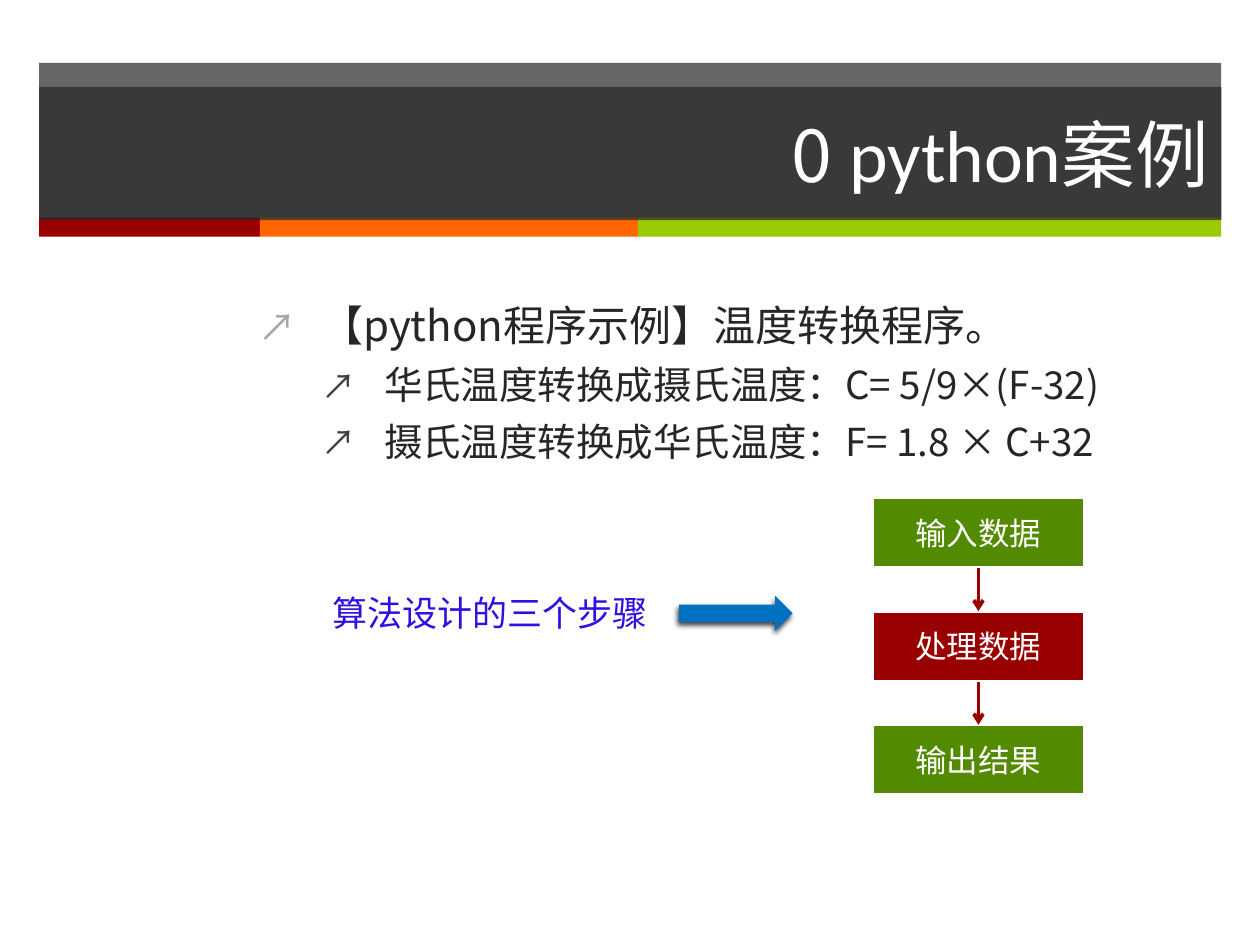
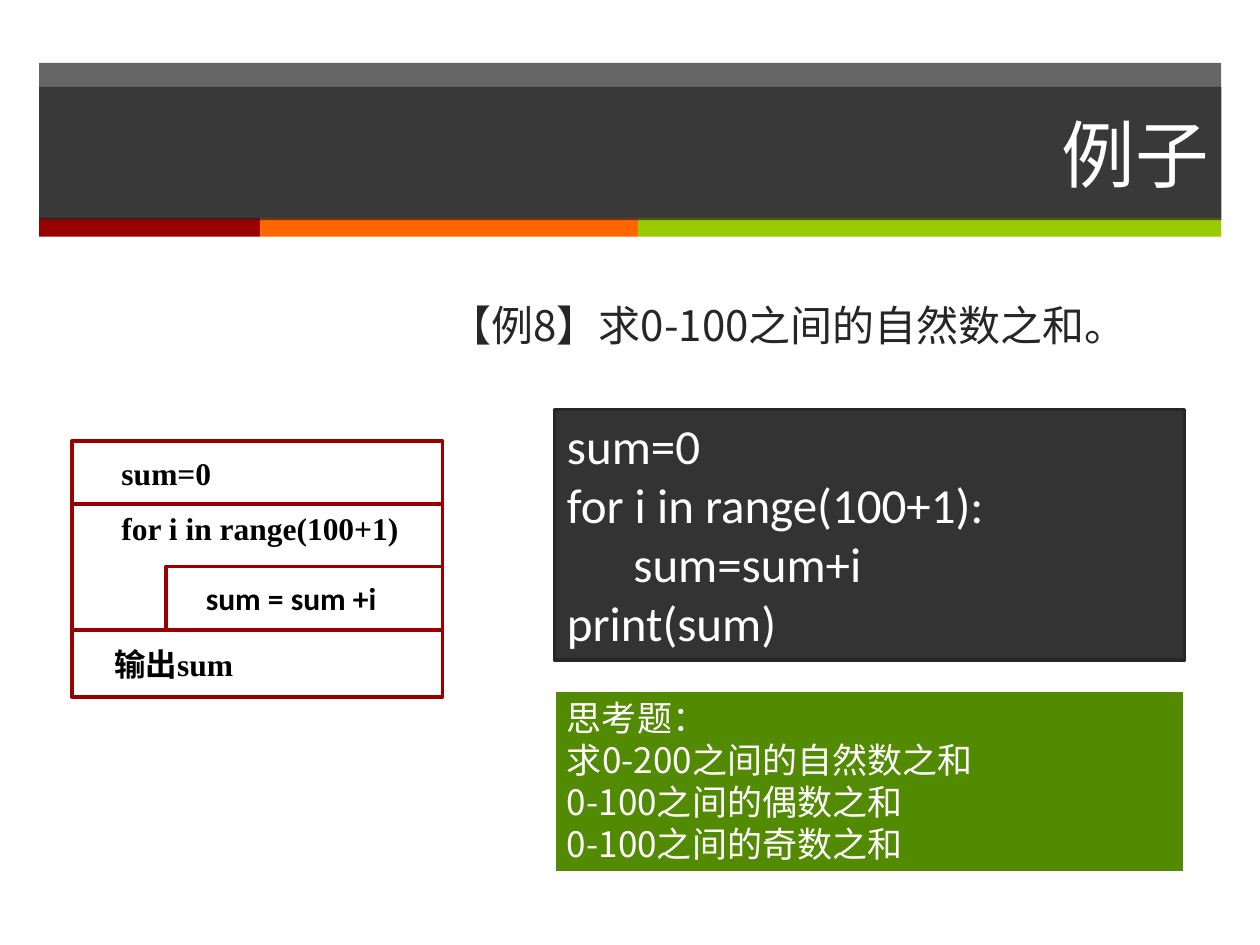
from dataclasses import dataclass
from lxml.etree import SubElement
from pptx import Presentation
from pptx.dml.color import RGBColor
from pptx.enum.shapes import MSO_CONNECTOR, MSO_SHAPE
from pptx.enum.text import MSO_ANCHOR, MSO_AUTO_SIZE, PP_ALIGN
from pptx.oxml.ns import qn
from pptx.util import Cm, Pt


@dataclass(frozen=True)
class Theme:
    white: str = "FFFFFF"
    black: str = "000000"
    dark: str = "262626"
    code_fill: str = "333333"
    red: str = "990000"
    orange: str = "FF6600"
    lime: str = "99CC00"
    green: str = "528A02"
    blue: str = "0070C0"
    violet: str = "2E10E2"
    bullets: tuple = ("A6A6A6", "404040")
    chinese: str = "Noto Sans CJK SC"
    latin: str = "Calibri"
    serif: str = "Times New Roman"
    title_size: int = 42
    body_sizes: tuple = (24, 22)
    code_size: int = 28
    note_size: int = 20
    label_size: int = 18
    band_alpha: int = 70
    line_width: int = 2


class Deck:
    def __init__(self, theme):
        self.theme = theme
        self.presentation = Presentation()
        self.presentation.slide_width = Cm(25.4)
        self.presentation.slide_height = Cm(19.05)
        self.slide = None

    def start_slide(self, title_runs):
        theme = self.theme
        self.slide = self.presentation.slides.add_slide(self.presentation.slide_layouts[1])
        band = self.box((0.79, 1.27, 23.83, 3.15), theme.dark)
        self.set_alpha(band)
        left = 0.79
        for colour, width in ((theme.red, 4.45), (theme.orange, 7.62), (theme.lime, 11.76)):
            self.box((left, 4.39, width, 0.38), colour)
            left += width
        title = self.slide.shapes.title
        self.place(title, (0.79, 1.75, 23.83, 2.69))
        title.fill.solid()
        title.fill.fore_color.rgb = RGBColor.from_string(theme.dark)
        self.set_alpha(title)
        self.set_frame(title, MSO_ANCHOR.MIDDLE)
        paragraph = title.text_frame.paragraphs[0]
        paragraph.alignment = PP_ALIGN.RIGHT
        for text, font in title_runs:
            self.add_run(paragraph, text, theme.title_size, theme.white, font)

    def place(self, placeholder, position):
        placeholder.left, placeholder.top, placeholder.width, placeholder.height = map(Cm, position)
        self.slide.shapes._spTree.append(placeholder._element)

    def set_alpha(self, shape):
        colour = shape._element.spPr.find(qn("a:solidFill"))[0]
        SubElement(colour, qn("a:alpha"), val=str(self.theme.band_alpha * 1000))

    def set_frame(self, shape, anchor):
        frame = shape.text_frame
        frame.word_wrap = True
        frame.auto_size = MSO_AUTO_SIZE.NONE
        frame.vertical_anchor = anchor

    def add_run(self, paragraph, text, size, colour, font, bold=False):
        run = paragraph.add_run()
        run.text = text
        run.font.size = Pt(size)
        run.font.bold = bold
        run.font.name = font
        run.font.color.rgb = RGBColor.from_string(colour)
        SubElement(run._r.get_or_add_rPr(), qn("a:ea"), typeface=self.theme.chinese)

    def body(self, position, items, bulleted=True):
        placeholder = self.slide.placeholders[1]
        self.place(placeholder, position)
        self.set_frame(placeholder, MSO_ANCHOR.TOP)
        frame = placeholder.text_frame
        for index, (level, text) in enumerate(items):
            paragraph = frame.paragraphs[0] if index == 0 else frame.add_paragraph()
            paragraph.level = level
            self.set_bullet(paragraph, level, bulleted)
            paragraph.space_before = Pt(6 if index else 0)
            self.add_run(paragraph, text, self.theme.body_sizes[level],
                         self.theme.dark, self.theme.chinese)

    def set_bullet(self, paragraph, level, bulleted):
        properties = paragraph._p.get_or_add_pPr()
        indent = Cm(1.27) if bulleted else 0
        properties.set("marL", str(indent * (level + 1)))
        properties.set("indent", str(-indent))
        if not bulleted:
            SubElement(properties, qn("a:buNone"))
            return
        colour = SubElement(properties, qn("a:buClr"))
        SubElement(colour, qn("a:srgbClr"), val=self.theme.bullets[level])
        SubElement(properties, qn("a:buSzPct"), val="90000")
        SubElement(properties, qn("a:buFont"), typeface=self.theme.chinese)
        SubElement(properties, qn("a:buChar"), char="↗")

    def box(self, position, fill, line=None, kind=MSO_SHAPE.RECTANGLE):
        shape = self.slide.shapes.add_shape(kind, *map(Cm, position))
        shape.shadow.inherit = False
        shape.fill.solid()
        shape.fill.fore_color.rgb = RGBColor.from_string(fill)
        if line:
            shape.line.color.rgb = RGBColor.from_string(line)
            shape.line.width = Pt(self.theme.line_width)
        else:
            shape.line.fill.background()
        return shape

    def add_lines(self, shape, lines, size, colour, font, anchor=MSO_ANCHOR.MIDDLE,
                  alignment=PP_ALIGN.LEFT, bold=False):
        self.set_frame(shape, anchor)
        frame = shape.text_frame
        for index, text in enumerate(lines):
            paragraph = frame.paragraphs[0] if index == 0 else frame.add_paragraph()
            paragraph.alignment = alignment
            self.add_run(paragraph, text, size, colour, font, bold)

    def caption(self, position, text):
        theme = self.theme
        shape = self.slide.shapes.add_textbox(*map(Cm, position))
        self.add_lines(shape, [text], theme.note_size, theme.violet, theme.chinese, MSO_ANCHOR.TOP)

    def step(self, position, text, fill):
        theme = self.theme
        shape = self.box(position, fill, theme.white)
        self.add_lines(shape, [text], theme.label_size, theme.white, theme.chinese,
                       alignment=PP_ALIGN.CENTER)

    def diagram_cell(self, position, text, inset, font, anchor=MSO_ANCHOR.MIDDLE):
        theme = self.theme
        shape = self.box(position, theme.white, theme.red)
        self.add_lines(shape, [text], theme.label_size, theme.black, font, anchor, bold=True)
        frame = shape.text_frame
        frame.margin_left = Cm(inset)
        frame.margin_right = Cm(0.2)
        frame.margin_top = frame.margin_bottom = Cm(0.1)

    def block_arrow(self, position):
        shape = self.box(position, self.theme.blue, kind=MSO_SHAPE.RIGHT_ARROW)
        effects = shape._element.spPr.find(qn("a:effectLst"))
        shadow = SubElement(effects, qn("a:outerShdw"), blurRad=str(Pt(3)), dist=str(Pt(2)),
                            dir=str(110 * 60000), rotWithShape="0")
        colour = SubElement(shadow, qn("a:srgbClr"), val=self.theme.black)
        SubElement(colour, qn("a:alpha"), val="75000")

    def down_arrow(self, x, top, bottom):
        connector = self.slide.shapes.add_connector(
            MSO_CONNECTOR.STRAIGHT, Cm(x), Cm(top), Cm(x), Cm(bottom))
        connector.line.color.rgb = RGBColor.from_string(self.theme.red)
        connector.line.width = Pt(self.theme.line_width)
        SubElement(connector.line._get_or_add_ln(), qn("a:tailEnd"), type="arrow")
        SubElement(connector._element.spPr, qn("a:effectLst"))


def build_temperature_slide(deck):
    theme = deck.theme
    deck.start_slide([("0", theme.chinese), (" python案例", theme.latin)])
    deck.body((4.95, 5.92, 19.66, 12.09), [
        (0, "【python程序示例】温度转换程序。"),
        (1, "华氏温度转换成摄氏温度：C= 5/9×(F-32)"),
        (1, "摄氏温度转换成华氏温度：F= 1.8 × C+32"),
    ])
    left, top, width, height, pitch = 17.58, 10.03, 4.29, 1.42, 2.29
    steps = (("输入数据", theme.green), ("处理数据", theme.red), ("输出结果", theme.green))
    for index, (text, fill) in enumerate(steps):
        deck.step((left, top + index * pitch, width, height), text, fill)
    deck.caption((6.45, 11.79, 8.31, 1.12), "算法设计的三个步骤")
    deck.block_arrow((13.69, 12.01, 2.29, 0.71))
    for index in range(len(steps) - 1):
        start = top + index * pitch
        deck.down_arrow(left + width / 2, start + height, start + pitch)


def build_sum_slide(deck):
    theme = deck.theme
    deck.start_slide([("例子", theme.chinese)])
    deck.body((8.81, 5.92, 15.8, 11.1), [(0, "【例8】求0-100之间的自然数之和。")], bulleted=False)
    code = deck.box((11.18, 8.26, 12.7, 5.05), theme.code_fill, theme.dark)
    deck.add_lines(code, ["sum=0", "for i in range(100+1):", "      sum=sum+i", "print(sum)"],
                   theme.code_size, theme.white, theme.latin, MSO_ANCHOR.TOP)
    exercise = deck.box((11.18, 13.92, 12.7, 3.68), theme.green, theme.white)
    deck.add_lines(exercise, ["思考题：", "求0-200之间的自然数之和", "0-100之间的偶数之和", "0-100之间的奇数之和"],
                   theme.note_size, theme.white, theme.chinese, MSO_ANCHOR.TOP)
    deck.diagram_cell((1.45, 8.89, 7.47, 1.27), "sum=0", 1, theme.serif)
    deck.diagram_cell((1.45, 10.16, 7.47, 2.54), "for i in range(100+1)", 1, theme.serif,
                      MSO_ANCHOR.TOP)
    deck.diagram_cell((3.35, 11.42, 5.57, 1.27), "sum = sum +i", 0.8, theme.latin)
    deck.diagram_cell((1.45, 12.7, 7.47, 1.35), "输出sum", 0.85, theme.serif)


def main():
    deck = Deck(Theme())
    build_temperature_slide(deck)
    build_sum_slide(deck)
    deck.presentation.save("out.pptx")


if __name__ == "__main__":
    main()
